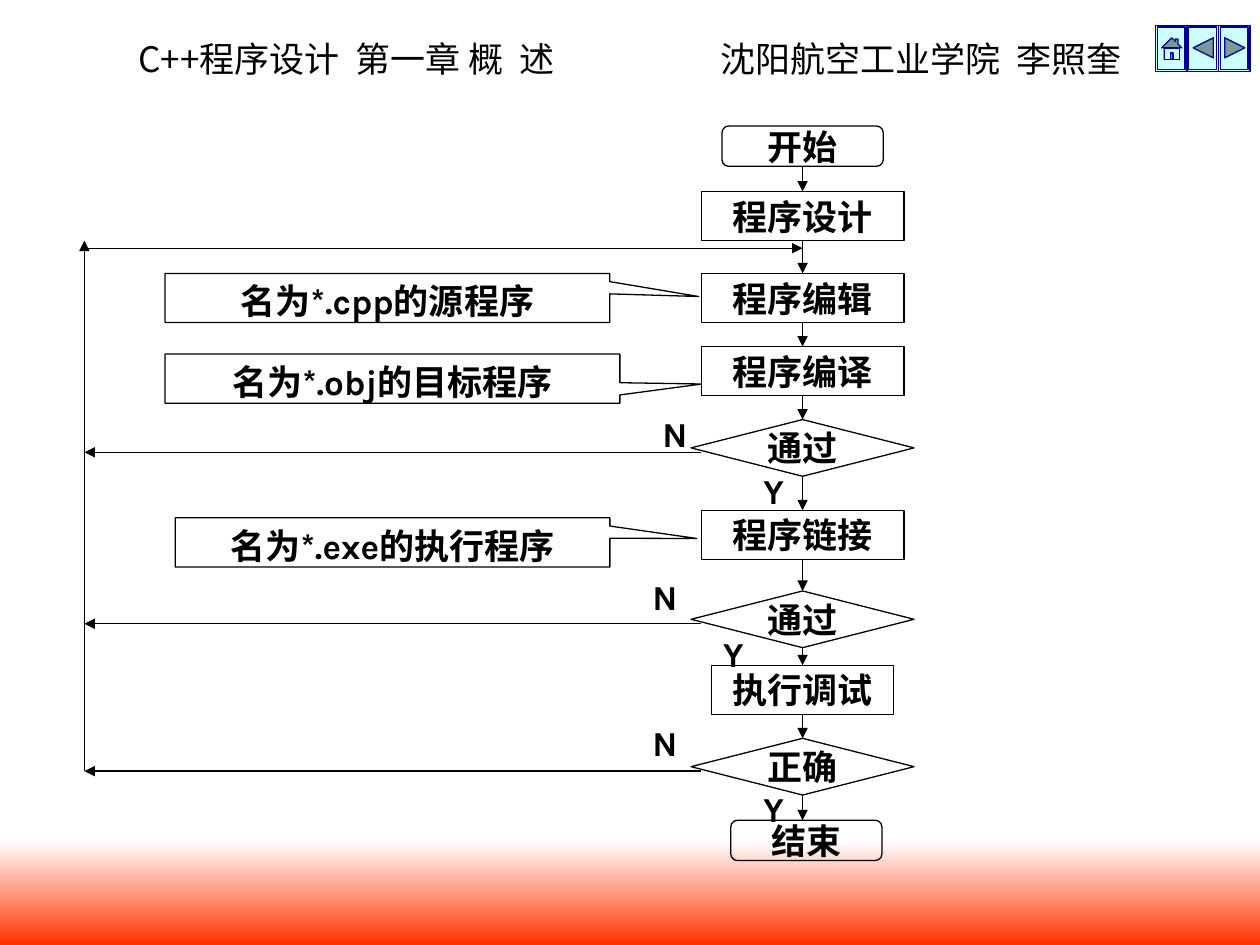
import pptx
import pptx.util
import pptx.oxml.ns
import pptx.dml.color
import pptx.enum.shapes
import pptx.enum.text
import lxml.etree

Inches = pptx.util.Inches
Pt = pptx.util.Pt
RGBColor = pptx.dml.color.RGBColor
SHAPE = pptx.enum.shapes.MSO_SHAPE
ALIGN = pptx.enum.text.PP_ALIGN
ANCHOR = pptx.enum.text.MSO_ANCHOR
qn = pptx.oxml.ns.qn

BLACK = RGBColor(0x00, 0x00, 0x00)
WHITE = RGBColor(0xFF, 0xFF, 0xFF)
RED = RGBColor(0xFF, 0x33, 0x00)
NAVY = RGBColor(0x00, 0x00, 0x99)
PALE_CYAN = RGBColor(0xCC, 0xFF, 0xFF)
GREY_TEAL = RGBColor(0x7A, 0x99, 0x99)

presentation = pptx.Presentation()
presentation.slide_width = Inches(10)
presentation.slide_height = Inches(7.5)
slide = presentation.slides.add_slide(presentation.slide_layouts[6])
shapes = slide.shapes


def write_bold(shape, text, align):
    paragraph = shape.text_frame.paragraphs[0]
    paragraph.text = text
    paragraph.alignment = align
    paragraph.font.name = "Karla"
    paragraph.font.size = Pt(20)
    paragraph.font.bold = True
    paragraph.font.color.rgb = BLACK


def draw_arrow(x1, y1, x2, y2):
    arrow = shapes.add_connector(
        pptx.enum.shapes.MSO_CONNECTOR.STRAIGHT,
        Inches(x1), Inches(y1), Inches(x2), Inches(y2))
    arrow.line.color.rgb = BLACK
    arrow.line.width = Pt(0.75)
    properties = arrow._element.spPr
    lxml.etree.SubElement(properties.find(qn("a:ln")), qn("a:tailEnd"), type="triangle")
    lxml.etree.SubElement(properties, qn("a:effectLst"))
    return arrow


header = shapes.add_textbox(Inches(1), Inches(0.25), Inches(8.25), Inches(0.44))
header.text_frame.word_wrap = True
header_line = header.text_frame.paragraphs[0]
tabs = lxml.etree.SubElement(header_line._p.get_or_add_pPr(), qn("a:tabLst"))
lxml.etree.SubElement(tabs, qn("a:tab"), pos=str(Inches(4.62)), algn="l")
for text, typeface in [
    ("C++程序设计 ", "Noto Sans CJK JP"),
    (" 第一章 概  述\t", "Noto Sans CJK SC"),
    ("沈阳航空工业学院  ", "Noto Sans CJK JP"),
    ("李照奎", "Noto Sans CJK SC"),
]:
    run = header_line.add_run()
    run.text = text
    run.font.size = Pt(20)
    run.font.color.rgb = BLACK
    run.font.name = typeface
    lxml.etree.SubElement(run._r.get_or_add_rPr(), qn("a:ea"), typeface=typeface)

footer_band = shapes.add_shape(
    SHAPE.RECTANGLE, Inches(0), Inches(6.67), Inches(10), Inches(0.83))
footer_band.shadow.inherit = False
footer_band.line.fill.background()
footer_band.fill.gradient()
footer_band.fill.gradient_angle = 270
for stop, color in zip(footer_band.fill.gradient_stops, (WHITE, RED)):
    stop.color.rgb = color

for column in range(3):
    for inset in (0, 0.015):
        button = shapes.add_shape(
            SHAPE.RECTANGLE, Inches(9.17 + 0.25 * column + inset), Inches(0.2 + inset),
            Inches(0.25 - 2 * inset), Inches(0.37 - 2 * inset))
        button.shadow.inherit = False
        button.fill.solid()
        button.fill.fore_color.rgb = PALE_CYAN
        button.line.color.rgb = NAVY
        button.line.width = Pt(0.75)

house = [(9.3, 0.3), (9.33, 0.33), (9.33, 0.31), (9.35, 0.31), (9.35, 0.35), (9.38, 0.38),
         (9.36, 0.38), (9.36, 0.47), (9.24, 0.47), (9.24, 0.38), (9.22, 0.38)]
house_wall = [(9.29, 0.42), (9.31, 0.42), (9.31, 0.47), (9.36, 0.47),
              (9.36, 0.38), (9.24, 0.38), (9.24, 0.47), (9.29, 0.47)]
back_triangle = [(9.47, 0.38), (9.63, 0.3), (9.63, 0.46)]
next_triangle = [(9.72, 0.3), (9.88, 0.38), (9.72, 0.46)]
for outline, color in [(house, GREY_TEAL), (house_wall, PALE_CYAN),
                       (back_triangle, GREY_TEAL), (next_triangle, GREY_TEAL)]:
    points = [(Inches(x), Inches(y)) for x, y in outline]
    builder = shapes.build_freeform(*points[0])
    builder.add_line_segments(points[1:], close=True)
    icon = builder.convert_to_shape()
    icon.shadow.inherit = False
    icon.fill.solid()
    icon.fill.fore_color.rgb = color
    icon.line.color.rgb = NAVY
    icon.line.width = Pt(0.75)

FLOW_X = 6.37
LOOP_X = 0.67
TERMINAL = SHAPE.FLOWCHART_ALTERNATE_PROCESS
PROCESS = SHAPE.FLOWCHART_PROCESS
DECISION = SHAPE.FLOWCHART_DECISION
steps = []
for kind, text, center, top, width, height in [
    (TERMINAL, "开始", FLOW_X, 1, 1.28, 0.32),
    (PROCESS, "程序设计", FLOW_X, 1.52, 1.61, 0.39),
    (PROCESS, "程序编辑", FLOW_X, 2.17, 1.61, 0.39),
    (SHAPE.RECTANGLE, "程序编译", FLOW_X, 2.75, 1.61, 0.39),
    (DECISION, "通过", FLOW_X, 3.33, 1.77, 0.45),
    (SHAPE.RECTANGLE, "程序链接", FLOW_X, 4.05, 1.61, 0.39),
    (DECISION, "通过", FLOW_X, 4.69, 1.77, 0.45),
    (SHAPE.RECTANGLE, "执行调试", FLOW_X, 5.28, 1.44, 0.39),
    (DECISION, "正确", FLOW_X, 5.86, 1.77, 0.45),
    (TERMINAL, "结束", 6.4, 6.51, 1.2, 0.32),
]:
    step = shapes.add_shape(
        kind, Inches(center - width / 2), Inches(top), Inches(width), Inches(height))
    step.shadow.inherit = False
    step.fill.background()
    step.line.color.rgb = BLACK
    step.line.width = Pt(0.75)
    step.text_frame.word_wrap = False
    step.text_frame.vertical_anchor = ANCHOR.MIDDLE
    write_bold(step, text, ALIGN.CENTER)
    steps.append(step)

for upper, lower in zip(steps, steps[1:]):
    flow = draw_arrow(FLOW_X, (upper.top + upper.height).inches if hasattr(
        upper.top + upper.height, "inches") else (upper.top + upper.height) / Inches(1),
        FLOW_X, lower.top.inches)
    flow.begin_connect(upper, 2)
    if lower is not steps[-1]:
        flow.end_connect(lower, 0)

draw_arrow(LOOP_X, 1.97, FLOW_X, 1.97)
draw_arrow(LOOP_X, 6.12, LOOP_X, 1.91)
for return_y in (3.59, 4.95, 6.12):
    draw_arrow(5.56, return_y, LOOP_X, return_y)

for text, left, top, width, tip_x, tip_y in [
    ("名为*.exe的执行程序", 1.39, 4.11, 3.45, 0.7, -0.08),
    ("名为*.obj的目标程序", 1.31, 2.81, 3.61, 0.68, 0.11),
    ("名为*.cpp的源程序", 1.31, 2.17, 3.53, 0.7, -0.03),
]:
    callout = shapes.add_shape(
        SHAPE.RECTANGULAR_CALLOUT, Inches(left), Inches(top), Inches(width), Inches(0.39))
    callout.adjustments[0] = tip_x
    callout.adjustments[1] = tip_y
    callout.shadow.inherit = False
    callout.fill.background()
    callout.line.color.rgb = BLACK
    callout.line.width = Pt(0.75)
    callout.text_frame.word_wrap = True
    callout.text_frame.vertical_anchor = ANCHOR.TOP
    write_bold(callout, text, ALIGN.CENTER)

for text, left, top in [
    ("N", 5.16, 3.27), ("Y", 5.96, 3.73),
    ("N", 5.08, 4.57), ("Y", 5.64, 5.02),
    ("N", 5.08, 5.73), ("Y", 5.96, 6.25),
]:
    branch = shapes.add_textbox(Inches(left), Inches(top), Inches(0.4), Inches(0.39))
    branch.text_frame.word_wrap = True
    branch.text_frame.margin_top = Inches(0)
    write_bold(branch, text, ALIGN.LEFT)

presentation.save("out.pptx")
